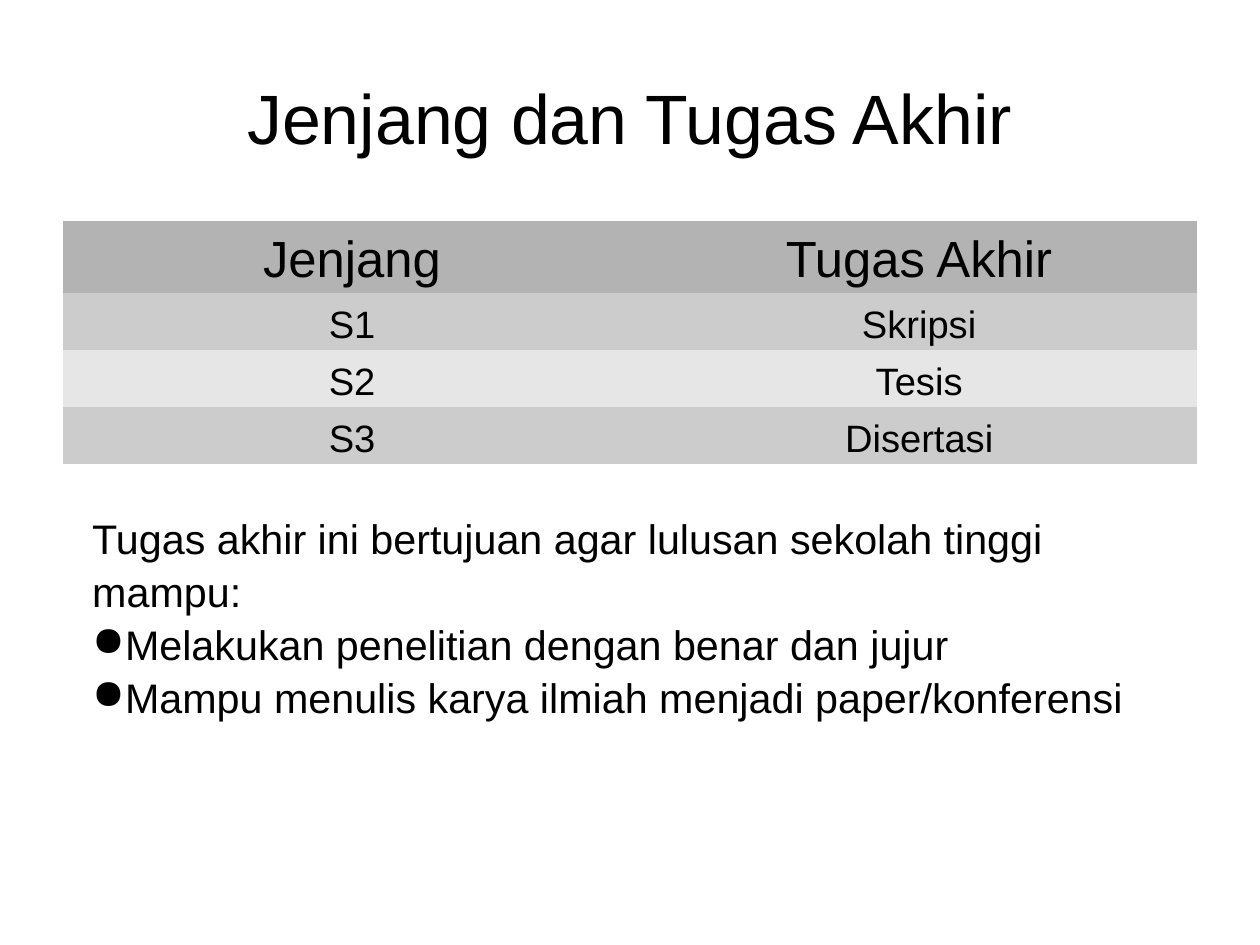
from lxml import etree
from pptx import Presentation
from pptx.dml.color import RGBColor
from pptx.enum import text
from pptx.oxml import ns
from pptx.util import Cm, Pt

BLACK = RGBColor(0x00, 0x00, 0x00)
HEAD = RGBColor(0xB3, 0xB3, 0xB3)
DARK = RGBColor(0xCC, 0xCC, 0xCC)
LIGHT = RGBColor(0xE6, 0xE6, 0xE6)


def style(para, size, align):
    para.alignment = align
    for run in para.runs:
        run.font.name = "Arial"
        run.font.size = Pt(size)
        run.font.bold = False
        run.font.color.rgb = BLACK


deck = Presentation()
deck.slide_width, deck.slide_height = Cm(28), Cm(21)
slide = deck.slides.add_slide(deck.slide_layouts[6])
left, mid = text.PP_ALIGN.LEFT, text.PP_ALIGN.CENTER

# Title
title = slide.shapes.add_textbox(Cm(1.4), Cm(0.84), Cm(25.2), Cm(3.5)).text_frame
title.word_wrap = True
title.vertical_anchor = text.MSO_ANCHOR.MIDDLE
title.margin_left = title.margin_right = title.margin_top = title.margin_bottom = 0
title.text = "Jenjang dan Tugas Akhir"
style(title.paragraphs[0], 44, mid)

# Table of degrees
rows = [
    ("Jenjang", "Tugas Akhir"),
    ("S1", "Skripsi"),
    ("S2", "Tesis"),
    ("S3", "Disertasi"),
]
fills = [HEAD, DARK, LIGHT, DARK]
table = slide.shapes.add_table(
    len(rows), 2, Cm(1.4), Cm(4.9), Cm(25.2), Cm(0.97 * len(rows))
).table
for r, (row, fill) in enumerate(zip(rows, fills)):
    for c, word in enumerate(row):
        cell = table.cell(r, c)
        cell.fill.solid()
        cell.fill.fore_color.rgb = fill
        cell.margin_left = cell.margin_top = Cm(0.25)
        cell.margin_right = cell.margin_bottom = 0
        cell.text_frame.text = word
        style(cell.text_frame.paragraphs[0], 24 if r else 32, mid)
        # Hide the white grid of the default table style
        for side in ("a:lnL", "a:lnR", "a:lnT", "a:lnB"):
            line = etree.Element(ns.qn(side), w="0")
            etree.SubElement(line, ns.qn("a:noFill"))
            props = cell.fill._xPr
            props.insert(len(props) - 1, line)

# Aims
aims = [
    "Tugas akhir ini bertujuan agar lulusan sekolah tinggi mampu:",
    "Melakukan penelitian dengan benar dan jujur",
    "Mampu menulis karya ilmiah menjadi paper/konferensi",
]
body = slide.shapes.add_textbox(Cm(1.8), Cm(11.2), Cm(24.2), Cm(4.35)).text_frame
body.word_wrap = True
body.text = "\n".join(aims)
for i, para in enumerate(body.paragraphs):
    if i:
        props = para._p.get_or_add_pPr()
        props.set("marL", str(Cm(0.6)))
        props.set("indent", str(-Cm(0.6)))
        color = etree.SubElement(props, ns.qn("a:buClr"))
        etree.SubElement(color, ns.qn("a:srgbClr"), val=str(BLACK))
        etree.SubElement(props, ns.qn("a:buChar"), char="●")
    para.line_spacing = 1.07
    style(para, 26, left)

deck.save("out.pptx")
